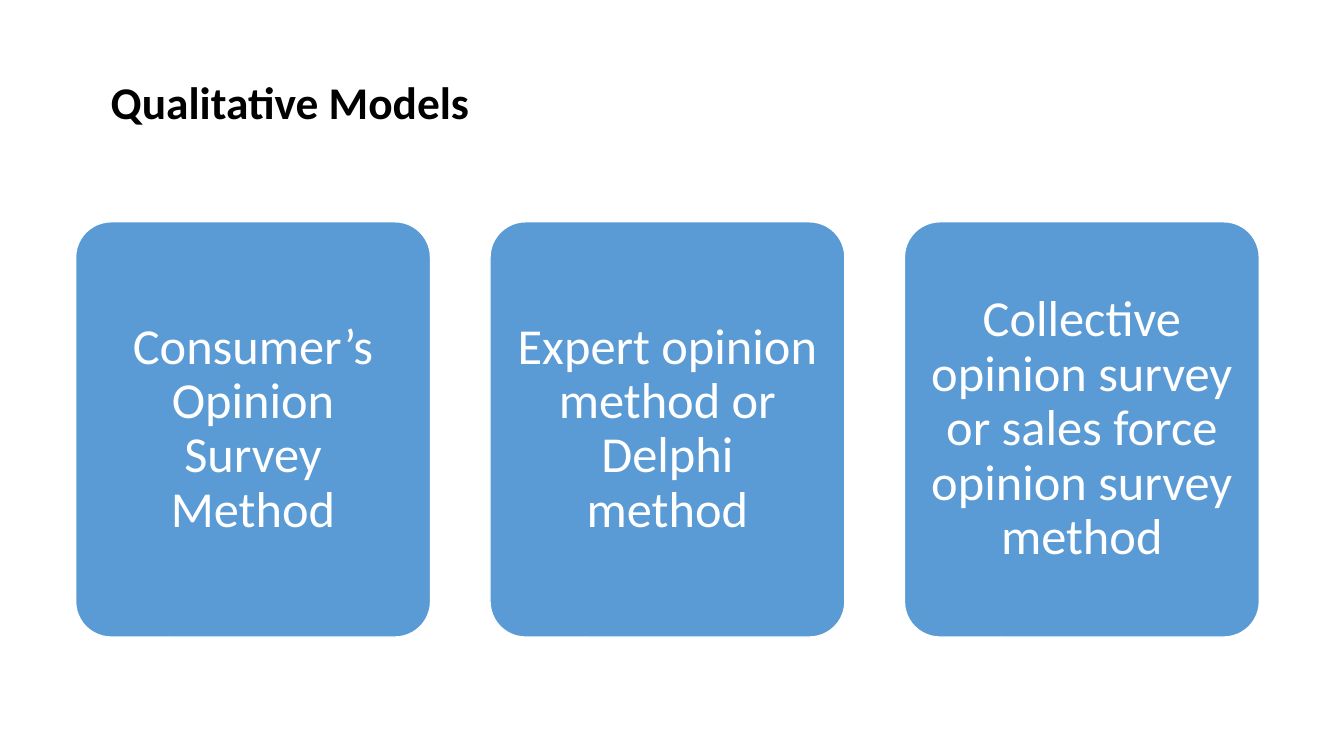
"""Build the Qualitative Models slide: a title above three method cards."""
from pptx import Presentation
from pptx.dml.color import RGBColor
from pptx.enum.shapes import MSO_SHAPE
from pptx.enum.text import MSO_ANCHOR, PP_ALIGN
from pptx.util import Inches, Pt

COLORS = {"title": "000000", "card": "5B9BD5", "white": "FFFFFF"}
METHODS = [
    "Consumer’s Opinion Survey Method",
    "Expert opinion method or Delphi method",
    "Collective opinion survey or sales force opinion survey method",
]
CARD_LEFT, CARD_STEP = 0.75, 4.11


def write_text(text_frame, text, size, color, bold=False):
    text_frame.word_wrap = True
    paragraph = text_frame.paragraphs[0]
    paragraph.text = text
    paragraph.line_spacing = 0.9
    paragraph.font.name = "Calibri"
    paragraph.font.size = Pt(size)
    paragraph.font.bold = bold
    paragraph.font.color.rgb = RGBColor.from_string(COLORS[color])
    return paragraph


presentation = Presentation()
presentation.slide_width = Inches(13.33)
presentation.slide_height = Inches(7.5)
slide = presentation.slides.add_slide(presentation.slide_layouts[6])

title = slide.shapes.add_textbox(Inches(1), Inches(0.75), Inches(9.44), Inches(0.87))
write_text(title.text_frame, "Qualitative Models", 32.4, "title", bold=True)

for index, method in enumerate(METHODS):
    card = slide.shapes.add_shape(
        MSO_SHAPE.ROUNDED_RECTANGLE,
        Inches(CARD_LEFT + index * CARD_STEP), Inches(2.2), Inches(3.52), Inches(4.12),
    )
    card.adjustments[0] = 0.1
    card.shadow.inherit = False
    card.fill.solid()
    card.fill.fore_color.rgb = RGBColor.from_string(COLORS["card"])
    card.line.color.rgb = RGBColor.from_string(COLORS["white"])
    card.line.width = Pt(1)
    text_frame = card.text_frame
    text_frame.vertical_anchor = MSO_ANCHOR.MIDDLE
    text_frame.margin_left = text_frame.margin_right = Inches(0.15)
    text_frame.margin_top = text_frame.margin_bottom = Inches(0.15)
    paragraph = write_text(text_frame, method, 36, "white")
    paragraph.alignment = PP_ALIGN.CENTER

presentation.save("out.pptx")
